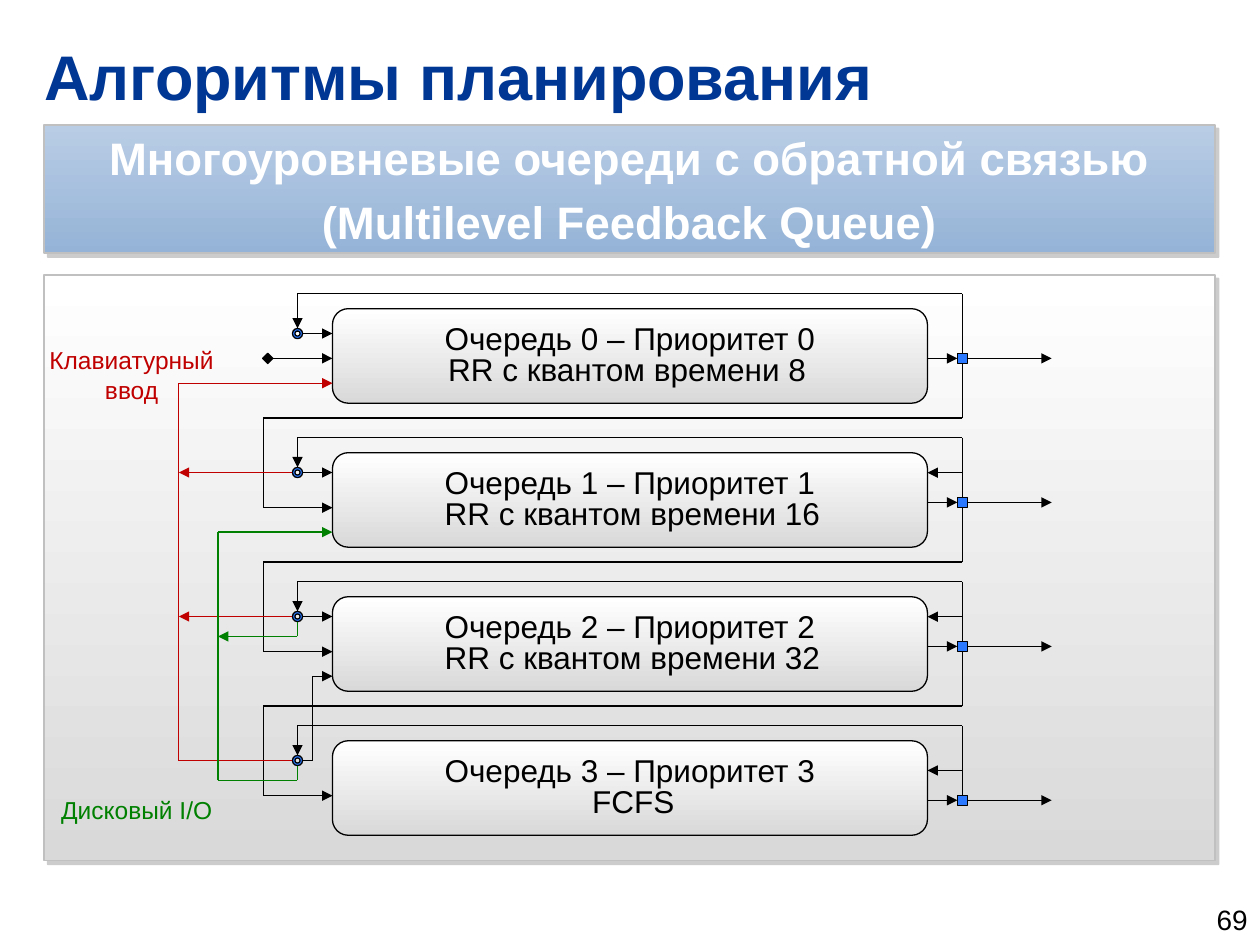
from lxml.etree import SubElement
from pptx import Presentation
from pptx.dml.color import RGBColor
from pptx.enum.shapes import MSO_CONNECTOR, MSO_SHAPE
from pptx.enum.text import MSO_ANCHOR, PP_ALIGN
from pptx.oxml.ns import qn
from pptx.util import Pt

TITLE = "Алгоритмы планирования"
BANNER = ["Многоуровневые очереди с обратной связью", "(Multilevel Feedback Queue)"]
QUEUES = [
    {"name": "Очередь 0 – Приоритет 0", "policy": "RR с квантом времени 8", "join": 14.2, "out": 28.4},
    {"name": "Очередь 1 – Приоритет 1", "policy": "RR с квантом времени 16", "join": 11.3, "out": 28.4},
    {"name": "Очередь 2 – Приоритет 2", "policy": "RR с квантом времени 32", "join": 11.3, "out": 28.4},
    {"name": "Очередь 3 – Приоритет 3", "policy": "FCFS", "join": 11.3, "out": 34},
]
PAGE = "69"
BLACK, RED, GREEN, BLUE = "000000", "C00000", "008000", "2A79FF"
WHITE, GREY, SILVER, NAVY = "FFFFFF", "D9D9D9", "C0C0C0", "003794"
LEFT, WIDTH = 25.2, 669
BOX_LEFT, BOX_RIGHT, BOX_TOP, BOX_HEIGHT, PITCH = 190, 530, 176.4, 54, 82.3
RED_X, GREEN_X, ENTRY_X, JOIN_X, BYPASS_X, TRUNK_X, EXIT_X = 102.2, 124.6, 150.4, 170, 178.6, 550, 601
NODE = 5.8
TOP, RIGHT, BOTTOM, LEFT_SIDE = 0, 3, 2, 1


def color(value):
    """Turn a hex string into a colour."""
    return RGBColor.from_string(value)


def write(shape, lines, size, hue, align=PP_ALIGN.LEFT, anchor=MSO_ANCHOR.TOP,
          bold=False, margins=(7.2, 3.6, 7.2, 3.6), after=0):
    """Fill a shape with formatted paragraphs."""
    frame = shape.text_frame
    frame.text = "\n".join(lines)
    frame.word_wrap = True
    frame.vertical_anchor = anchor
    frame.margin_left, frame.margin_top, frame.margin_right, frame.margin_bottom = map(Pt, margins)
    for paragraph in frame.paragraphs:
        paragraph.alignment = align
        paragraph.space_before = Pt(0)
        paragraph.space_after = Pt(after)
        for run in paragraph.runs:
            font = run.font
            font.name, font.size, font.bold = "Arial", Pt(size), bold
            font.color.rgb = color(hue)


def add_label(slide, left, top, width, height, text, size, hue, **options):
    """Add a text box with one paragraph."""
    box = slide.shapes.add_textbox(Pt(left), Pt(top), Pt(width), Pt(height))
    write(box, [text], size, hue, **options)


def add_block(slide, kind, left, top, width, height, fills, line, weight=0.75):
    """Add a shape with a solid fill or a vertical gradient."""
    shape = slide.shapes.add_shape(kind, Pt(left), Pt(top), Pt(width), Pt(height))
    shape.shadow.inherit = False
    if len(fills) == 1:
        shape.fill.solid()
        shape.fill.fore_color.rgb = color(fills[0])
    else:
        shape.fill.gradient()
        shape.fill.gradient_angle = 270
        for stop, value in zip(shape.fill.gradient_stops, fills):
            stop.color.rgb = color(value)
    shape.line.color.rgb = color(line)
    shape.line.width = Pt(weight)
    return shape


def add_panel(slide, top, height, fills):
    """Add a full-width panel with a hard shadow."""
    panel = add_block(slide, MSO_SHAPE.RECTANGLE, LEFT, top, WIDTH, height, fills, SILVER, 1)
    effects = panel._element.spPr.find(qn("a:effectLst"))
    shadow = SubElement(effects, qn("a:outerShdw"), blurRad="0", dist=str(Pt(3)),
                        dir="2700000", algn="tl", rotWithShape="0")
    tone = SubElement(shadow, qn("a:srgbClr"), val="808080")
    SubElement(tone, qn("a:alpha"), val="40000")
    return panel


def add_node(slide, kind, x, y, fill):
    """Add a small marker centred on a point."""
    return add_block(slide, kind, x - NODE / 2, y - NODE / 2, NODE, NODE, [fill], BLACK)


def add_route(slide, points, hue=BLACK, arrow=True, start=None, end=None):
    """Draw straight connectors through the points, with an arrowhead at the last one."""
    pairs = list(zip(points, points[1:]))
    for index, (origin, target) in enumerate(pairs):
        connector = slide.shapes.add_connector(MSO_CONNECTOR.STRAIGHT, *map(Pt, origin + target))
        connector.line.color.rgb = color(hue)
        connector.line.width = Pt(0.75)
        last = index == len(pairs) - 1
        if arrow and last:
            SubElement(connector.line._get_or_add_ln(), qn("a:tailEnd"), type="triangle")
        SubElement(connector._element.spPr, qn("a:effectLst"))
        if start and index == 0:
            connector.begin_connect(*start)
        if end and last:
            connector.end_connect(*end)


def add_queue(slide, index, queue):
    """Draw one queue with its feedback loop, output and drop to the next queue."""
    top = BOX_TOP + index * PITCH
    join, out, loop, radius = top + queue["join"], top + queue["out"], top - 8.6, NODE / 2
    box = add_block(slide, MSO_SHAPE.ROUNDED_RECTANGLE, BOX_LEFT, top, BOX_RIGHT - BOX_LEFT,
                    BOX_HEIGHT, [WHITE, GREY], BLACK)
    write(box, [queue["name"]], 18, BLACK, align=PP_ALIGN.CENTER, margins=(7.2, 3.3, 7.2, 3.3))
    add_label(slide, 249 if index == 0 else 247, top + 20.2, 229.7, 28.8, queue["policy"], 18, BLACK,
              align=PP_ALIGN.CENTER if queue is QUEUES[-1] else PP_ALIGN.LEFT)
    square = add_node(slide, MSO_SHAPE.RECTANGLE, TRUNK_X, out, BLUE)
    add_node(slide, MSO_SHAPE.DONUT, JOIN_X, join, BLUE)

    add_route(slide, [(BOX_RIGHT, out), (TRUNK_X - radius, out)], end=(square, LEFT_SIDE))
    add_route(slide, [(TRUNK_X + radius, out), (EXIT_X, out)], start=(square, RIGHT))
    add_route(slide, [(TRUNK_X, out - radius), (TRUNK_X, loop), (JOIN_X, loop),
                      (JOIN_X, join - radius)], start=(square, TOP))
    if index > 0:
        back = out - 17
        add_route(slide, [(TRUNK_X, out - radius), (TRUNK_X, back), (BOX_RIGHT, back)],
                  start=(square, TOP))
    if queue is not QUEUES[-1]:
        drop, entry = top + 62.5, top + PITCH + 31.4
        add_route(slide, [(JOIN_X + radius, join), (BOX_LEFT, join)])
        add_route(slide, [(TRUNK_X, out + radius), (TRUNK_X, drop), (ENTRY_X, drop),
                          (ENTRY_X, entry), (BOX_LEFT, entry)], start=(square, BOTTOM))


def add_boosts(slide):
    """Draw the arrival and the priority boosts between queues."""
    tops = [BOX_TOP + index * PITCH for index in range(len(QUEUES))]
    joins = [top + queue["join"] for top, queue in zip(tops, QUEUES)]
    radius, arrival = NODE / 2, tops[0] + 28.4
    diamond = add_node(slide, MSO_SHAPE.DIAMOND, 153, arrival, BLACK)
    add_route(slide, [(153 + radius, arrival), (BOX_LEFT, arrival)], start=(diamond, RIGHT))

    boost = tops[0] + 42.6
    add_route(slide, [(JOIN_X - radius, joins[3]), (RED_X, joins[3]), (RED_X, boost),
                      (BOX_LEFT, boost)], RED)
    for join in joins[1:3]:
        add_route(slide, [(JOIN_X - radius, join), (RED_X, join)], RED)

    boost, low = tops[1] + 45.4, joins[3] + 11.4
    add_route(slide, [(JOIN_X, joins[3] + radius), (JOIN_X, low), (GREEN_X, low),
                      (GREEN_X, boost), (BOX_LEFT, boost)], GREEN)
    low = joins[2] + 11.4
    add_route(slide, [(JOIN_X, joins[2] + radius), (JOIN_X, low), (GREEN_X, low)], GREEN)

    boost = tops[2] + 45.4
    add_route(slide, [(JOIN_X + radius, joins[3]), (BYPASS_X, joins[3]), (BYPASS_X, boost),
                      (BOX_LEFT, boost)])


def main():
    """Build the slide and save it."""
    presentation = Presentation()
    presentation.slide_width, presentation.slide_height = Pt(720), Pt(540)
    slide = presentation.slides.add_slide(presentation.slide_layouts[5])
    title = slide.shapes.title
    title.left, title.top, title.width, title.height = Pt(LEFT), Pt(18.7), Pt(WIDTH), Pt(49)
    write(title, [TITLE], 36, NAVY, anchor=MSO_ANCHOR.MIDDLE, bold=True, margins=(0, 0, 0, 0))
    banner = add_panel(slide, 71.3, 73.5, ["B9CDE5", "95B3D7"])
    write(banner, BANNER, 26, WHITE, align=PP_ALIGN.CENTER, anchor=MSO_ANCHOR.MIDDLE, bold=True,
          margins=(17.3, 2.9, 17.3, 2.9), after=5.2)
    add_panel(slide, 157, 334.8, [WHITE, GREY])
    for index, queue in enumerate(QUEUES):
        add_queue(slide, index, queue)
    add_boosts(slide)
    add_label(slide, 8.6, 193.7, 133.2, 41, "Клавиатурный ввод", 14, RED, align=PP_ALIGN.CENTER)
    add_label(slide, 11.5, 450.7, 133.2, 23.8, "Дисковый I/O", 14, GREEN, align=PP_ALIGN.CENTER)
    add_label(slide, 632.2, 511.2, 87.8, 28.8, PAGE, 16, BLACK, align=PP_ALIGN.RIGHT,
              anchor=MSO_ANCHOR.MIDDLE)
    presentation.save("out.pptx")


if __name__ == "__main__":
    main()
